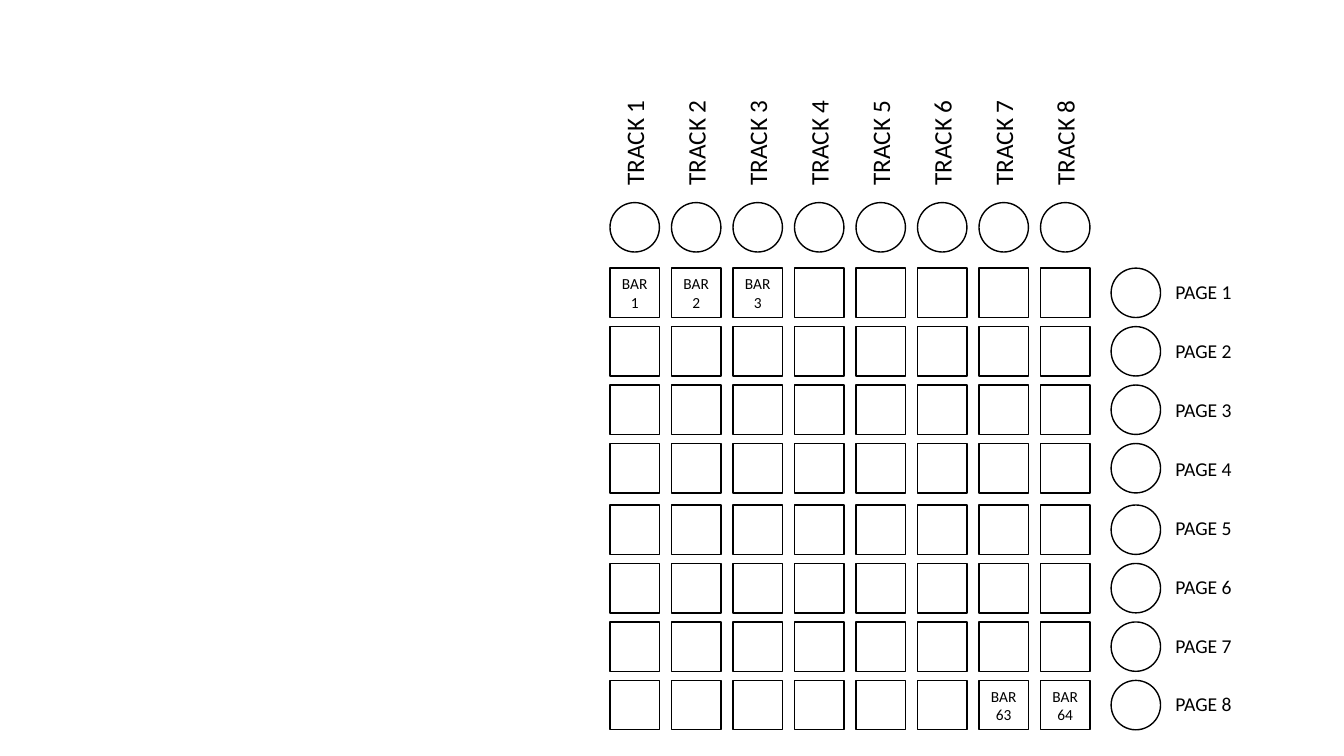
from dataclasses import dataclass

from pptx import Presentation
from pptx.dml.color import RGBColor
from pptx.enum.shapes import MSO_SHAPE as Shape
from pptx.enum.text import MSO_ANCHOR as Anchor, MSO_AUTO_SIZE as AutoSize, PP_ALIGN as Align
from pptx.shapes.shapetree import GroupShapes
from pptx.text.text import TextFrame
from pptx.util import Inches, Pt

BLACK = "000000"
FONT = "Calibri"
COUNT = 8
BUTTON = 0.49
GRID_LEFT, GRID_TOP = 6.05, 2.66
COLUMN_STEP, ROW_STEP = 0.61, 0.58
MIDDLE_GAP = 0.03
TRACK_BUTTON_TOP = 2.01
PAGE_BUTTON_LEFT = 11.02
PAGE_LABEL_TOP, PAGE_LABEL_LAST = 2.73, 6.82
LABELLED_BARS = {1, 2, 3, 63, 64}


@dataclass
class Button:
    left: float
    top: float
    kind: Shape = Shape.OVAL
    text: str = ""


@dataclass
class Label:
    text: str
    left: float
    top: float
    width: float
    height: float
    size: int
    rotation: int = 0


def color(value: str) -> RGBColor:
    return RGBColor.from_string(value)


def write_text(tf: TextFrame, text: str, size: int, align: Align) -> None:
    tf.text = text
    p = tf.paragraphs[0]
    p.alignment = align
    font = p.runs[0].font
    font.name, font.size = FONT, Pt(size)
    font.color.rgb = color(BLACK)


def draw_button(shapes: GroupShapes, button: Button) -> None:
    sp = shapes.add_shape(button.kind, Inches(button.left), Inches(button.top),
                          Inches(BUTTON), Inches(BUTTON))
    sp.shadow.inherit = False
    sp.fill.background()
    sp.line.color.rgb = color(BLACK)
    sp.line.width = Pt(1)
    if button.text:
        sp.text_frame.vertical_anchor = Anchor.MIDDLE
        write_text(sp.text_frame, button.text, 11, Align.CENTER)


def draw_label(shapes: GroupShapes, label: Label) -> None:
    box = shapes.add_textbox(Inches(label.left), Inches(label.top),
                             Inches(label.width), Inches(label.height))
    box.rotation = label.rotation
    tf = box.text_frame
    tf.word_wrap = False
    tf.auto_size = AutoSize.SHAPE_TO_FIT_TEXT
    write_text(tf, label.text, label.size, Align.LEFT)


def column_left(column: int) -> float:
    return GRID_LEFT + column * COLUMN_STEP


def row_top(row: int) -> float:
    """Rows are evenly spaced, with a slightly wider gap at the middle."""
    return GRID_TOP + row * ROW_STEP + (MIDDLE_GAP if row >= COUNT // 2 else 0)


def bar_text(row: int, column: int) -> str:
    bar = row * COUNT + column + 1
    return f"BAR {bar}" if bar in LABELLED_BARS else ""


def main() -> None:
    prs = Presentation()
    prs.slide_width, prs.slide_height = Inches(13.33), Inches(7.5)
    s = prs.slides.add_slide(prs.slide_layouts[6])
    controller = s.shapes.add_group_shape().shapes

    for column in range(COUNT):
        left = column_left(column)
        for row in range(COUNT):
            draw_button(controller, Button(left, row_top(row), Shape.RECTANGLE,
                                           bar_text(row, column)))
        draw_button(controller, Button(left, TRACK_BUTTON_TOP))
    for row in range(COUNT):
        draw_button(controller, Button(PAGE_BUTTON_LEFT, row_top(row)))

    page_step = (PAGE_LABEL_LAST - PAGE_LABEL_TOP) / (COUNT - 1)
    for i in range(COUNT):
        draw_label(controller, Label(f"TRACK {i + 1}", column_left(i) - 0.29, 1.21,
                                     1.06, 0.4, 18, 270))
        draw_label(controller, Label(f"PAGE {i + 1}", 11.56, PAGE_LABEL_TOP + i * page_step,
                                     0.77, 0.34, 14))

    prs.save("out.pptx")


if __name__ == "__main__":
    main()
